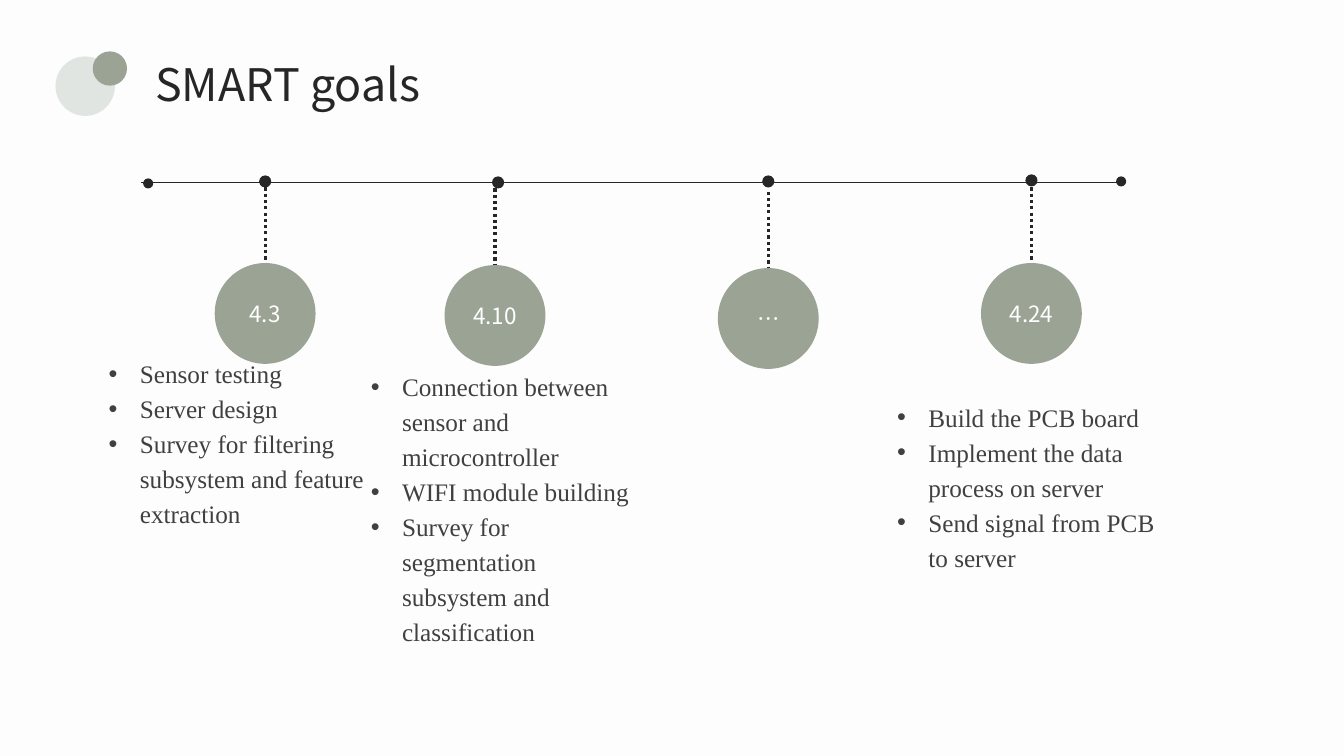
from pptx import Presentation
from pptx.dml.color import RGBColor
from pptx.enum.dml import MSO_LINE
from pptx.enum.shapes import MSO_CONNECTOR, MSO_SHAPE
from pptx.enum.text import MSO_ANCHOR, PP_ALIGN
from pptx.oxml.ns import qn
from pptx.util import Inches, Pt
from lxml.etree import SubElement

PAPER = RGBColor(0xFD, 0xFD, 0xFD)
INK = RGBColor(0x26, 0x26, 0x26)
BODY = RGBColor(0x40, 0x40, 0x40)
SAGE = RGBColor(0x9A, 0xA3, 0x94)
MIST = RGBColor(0xE1, 0xE5, 0xE2)
WHITE = RGBColor(0xFF, 0xFF, 0xFF)
SANS, SERIF = "Noto Sans CJK SC", "Times New Roman"

TITLE = "SMART goals"
# date, stem x, stem top, disc top, dot centre
MILESTONES = [
    ("4.3", 2.63, 1.86, 2.61, (2.63, 1.80)),
    ("4.10", 4.91, 1.87, 2.63, (4.94, 1.81)),
    ("…", 7.62, 1.90, 2.66, (7.62, 1.80)),
    ("4.24", 10.23, 1.86, 2.61, (10.23, 1.79)),
]
GOALS = [
    (0.98, 3.51, 5, ["Sensor testing", "Server design",
                     "Survey for filtering subsystem and feature extraction"]),
    (3.58, 3.64, 8, ["Connection between sensor and microcontroller",
                     "WIFI module building",
                     "Survey for segmentation subsystem and classification"]),
    (8.80, 3.94, 5, ["Build the PCB board",
                     "Implement the data process on server",
                     "Send signal from PCB to server"]),
]
AXIS_Y, AXIS_START, AXIS_END = 1.81, 1.40, 11.17
AXIS_TIPS = [(1.47, 1.82), (11.12, 1.80)]
TIP, DOT, DISC, STEM = 0.10, 0.12, 1.0, 0.75
GOAL_WIDTH, LINE_PT, HANG = 2.87, 25, 0.31

deck = Presentation()
deck.slide_width, deck.slide_height = Inches(13.33), Inches(7.5)
slide = deck.slides.add_slide(deck.slide_layouts[6])
slide.background.fill.solid()
slide.background.fill.fore_color.rgb = PAPER


def write(frame, *lines, font, size, color, align=PP_ALIGN.LEFT,
          anchor=MSO_ANCHOR.TOP, bullets=False):
    frame.word_wrap = True
    frame.vertical_anchor = anchor
    for i, text in enumerate(lines):
        para = frame.add_paragraph() if i else frame.paragraphs[0]
        para.alignment = align
        run = para.add_run()
        run.text = text
        run.font.name, run.font.size = font, Pt(size)
        run.font.color.rgb = color
        props = run.font._element
        SubElement(props, qn("a:ea")).set("typeface", font)
        if bullets:
            para.line_spacing = Pt(LINE_PT)
            props = para._p.get_or_add_pPr()
            props.set("marL", str(Inches(HANG)))
            props.set("indent", str(-Inches(HANG)))
            SubElement(props, qn("a:buFont")).set("typeface", "Arial")
            SubElement(props, qn("a:buChar")).set("char", "•")


def circle(x, y, size, color):
    disc = slide.shapes.add_shape(MSO_SHAPE.OVAL, Inches(x - size / 2),
                                  Inches(y - size / 2), Inches(size), Inches(size))
    disc.shadow.inherit = False
    disc.fill.solid()
    disc.fill.fore_color.rgb = color
    disc.line.fill.background()
    return disc


def rule(x1, y1, x2, y2, width, dash=None):
    line = slide.shapes.add_connector(MSO_CONNECTOR.STRAIGHT, Inches(x1),
                                      Inches(y1), Inches(x2), Inches(y2))
    line.line.color.rgb, line.line.width = INK, Pt(width)
    if dash:
        line.line.dash_style = dash
    SubElement(line._element.spPr, qn("a:effectLst"))


heading = slide.shapes.add_textbox(Inches(1.44), Inches(0.51), Inches(3.03), Inches(0.64))
write(heading.text_frame, TITLE, font=SANS, size=32, color=INK)
circle(0.845, 0.855, 0.59, MIST)
circle(1.09, 0.68, 0.34, SAGE)

rule(AXIS_START, AXIS_Y, AXIS_END, AXIS_Y, 1)
for tip in AXIS_TIPS:
    circle(*tip, TIP, INK)

for date, x, stem_top, disc_top, dot in MILESTONES:
    circle(*dot, DOT, INK)
    rule(x, stem_top, x, stem_top + STEM, 2.25, MSO_LINE.ROUND_DOT)
    milestone = circle(x, disc_top + DISC / 2, DISC, SAGE)
    write(milestone.text_frame, date, font=SANS, size=16, color=WHITE,
          align=PP_ALIGN.CENTER, anchor=MSO_ANCHOR.MIDDLE)

for left, top, rows, goals in GOALS:
    goal_list = slide.shapes.add_textbox(Inches(left), Inches(top), Inches(GOAL_WIDTH),
                                         Inches(rows * LINE_PT / 72)).text_frame
    goal_list.margin_top = goal_list.margin_bottom = 0
    write(goal_list, *goals, font=SERIF, size=18, color=BODY, bullets=True)

deck.save("out.pptx")
